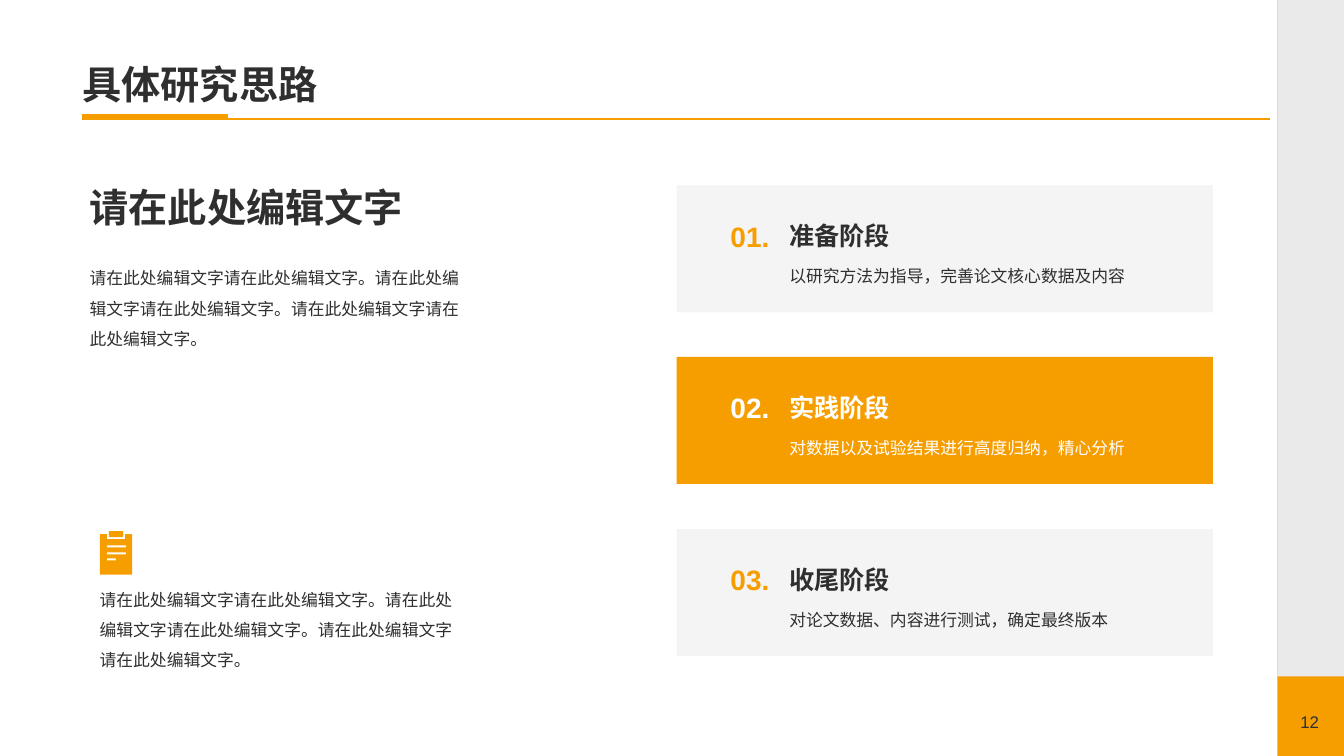
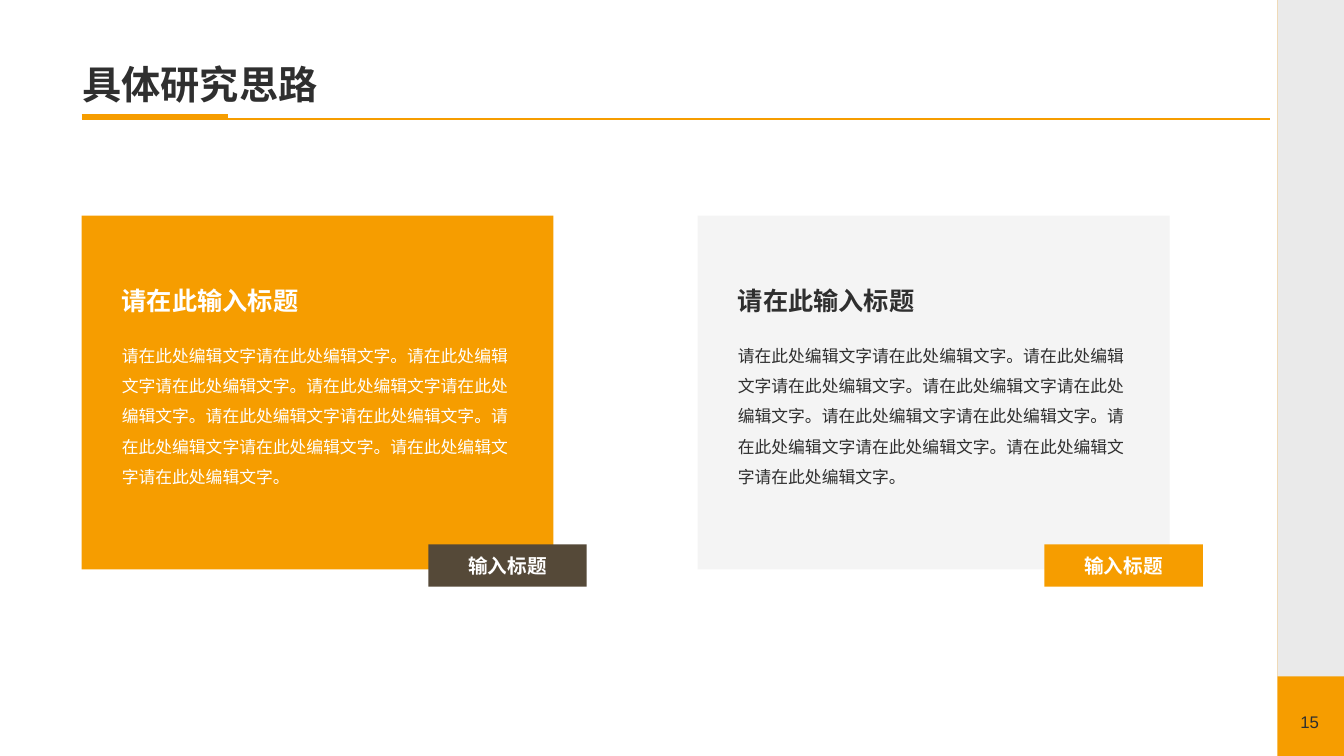
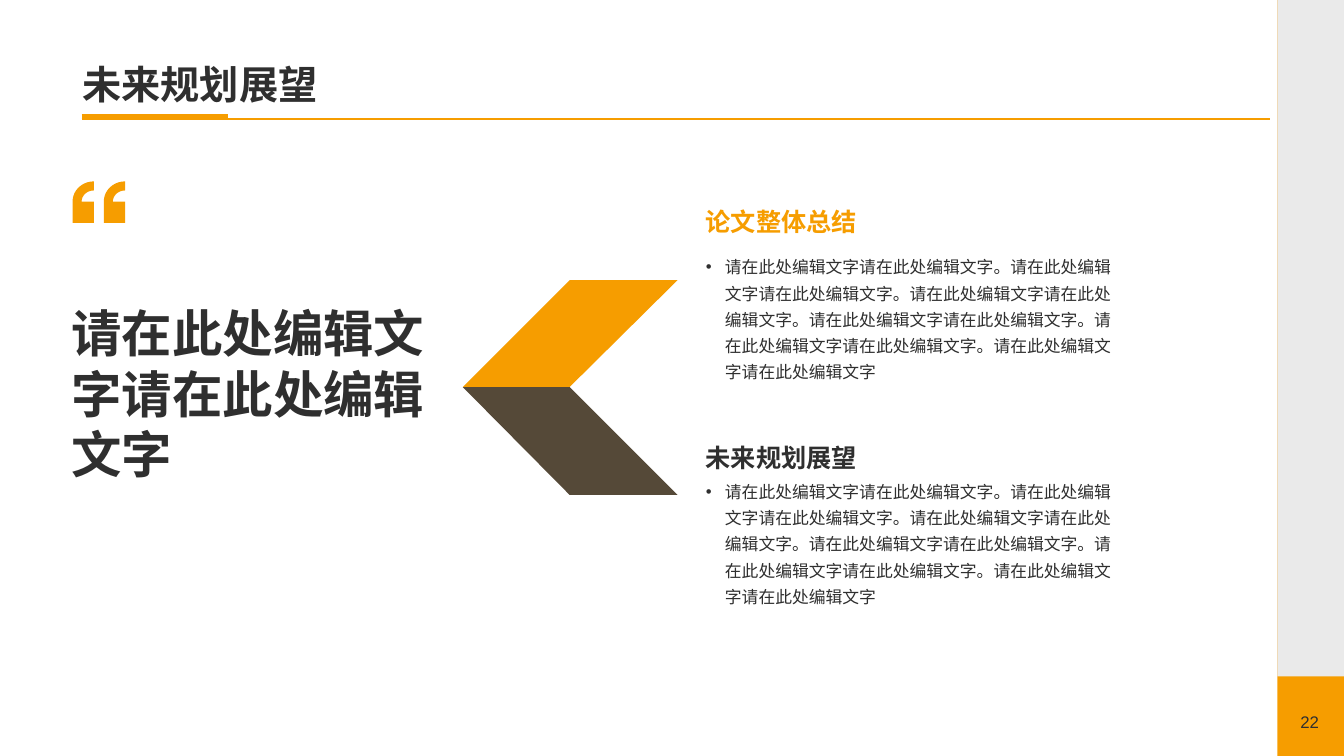
from math import cos, pi, sin

from lxml.etree import SubElement
from pptx import Presentation
from pptx.dml.color import RGBColor
from pptx.enum.lang import MSO_LANGUAGE_ID as LANG
from pptx.enum.shapes import MSO_CONNECTOR as CONNECTOR, MSO_SHAPE as SHAPE
from pptx.enum.text import MSO_ANCHOR as ANCHOR, MSO_AUTO_SIZE as FIT, PP_ALIGN as ALIGN
from pptx.oxml.ns import qn
from pptx.util import Pt

PX = 9144  # EMU per px, 100 px to the inch
FONT = "Arial"
COLORS = {
    "accent": "F69D00",
    "brown": "554938",
    "ink": "2F2F2F",
    "white": "FFFFFF",
    "band": "EAEAEA",
    "panel": "F4F4F4",
}
SENTENCE = "请在此处编辑文字请在此处编辑文字。"


def color(name):
    return RGBColor.from_string(COLORS[name])


class Deck:
    """Holds the shared style and the page being drawn."""

    def __init__(self):
        self.deck = Presentation()
        self.deck.slide_width, self.deck.slide_height = 1333 * PX, 750 * PX
        self.page = None

    def new_page(self, title, number):
        self.page = self.deck.slides.add_slide(self.deck.slide_layouts[6])
        # Side band
        self.rect(1267, 0, 66, 750, "accent")
        self.rect(1267, 0, 66, 671, "band")
        # Title with its underlines
        self.line(81, 118, 1260, 118, 1)
        self.line(81, 115, 226, 115, 3)
        self.text(72, 0, 1188, 112, title, 28, bold=True, anchor=ANCHOR.BOTTOM,
                  spacing=0.9, grow=False)
        # Page number
        self.text(1027, 704, 291, 24, str(number), 12, align=ALIGN.RIGHT,
                  anchor=ANCHOR.MIDDLE, grow=False)

    def paint(self, shape, fill):
        shape.shadow.inherit = False
        shape.fill.solid()
        shape.fill.fore_color.rgb = color(fill)
        shape.line.fill.background()
        return shape

    def rect(self, x, y, w, h, fill):
        box = self.page.shapes.add_shape(SHAPE.RECTANGLE, x * PX, y * PX, w * PX, h * PX)
        return self.paint(box, fill)

    def line(self, x1, y1, x2, y2, width):
        rule = self.page.shapes.add_connector(
            CONNECTOR.STRAIGHT, x1 * PX, y1 * PX, x2 * PX, y2 * PX)
        rule.line.color.rgb = color("accent")
        rule.line.width = Pt(width)
        SubElement(rule._element.spPr, qn("a:effectLst"))

    def outline(self, fill, *contours):
        """Closed freeform; inner contours cut holes."""
        scaled = [[(x * PX, y * PX) for x, y in points] for points in contours]
        builder = self.page.shapes.build_freeform(*scaled[0][0], scale=1.0)
        builder.add_line_segments(scaled[0][1:], close=True)
        for points in scaled[1:]:
            builder.move_to(*points[0])
            builder.add_line_segments(points[1:], close=True)
        self.paint(builder.convert_to_shape(), fill)

    def add_words(self, frame, words, size, ink, bold, align, spacing):
        para = frame.paragraphs[0]
        para.alignment = align
        para.line_spacing = spacing
        span = para.add_run()
        span.text = words
        span.font.name = FONT
        span.font.size = Pt(size)
        span.font.bold = bold
        span.font.color.rgb = color(ink)
        span.font.language_id = LANG.SIMPLIFIED_CHINESE
        return para

    def text(self, x, y, w, h, words, size, ink="ink", bold=False, align=ALIGN.LEFT,
             anchor=ANCHOR.TOP, spacing=1.0, insets=(10, 5), grow=True, bullet=False):
        box = self.page.shapes.add_textbox(x * PX, y * PX, w * PX, h * PX)
        frame = box.text_frame
        frame.word_wrap = True
        frame.auto_size = FIT.SHAPE_TO_FIT_TEXT if grow else FIT.NONE
        frame.vertical_anchor = anchor
        frame.margin_left = frame.margin_right = insets[0] * PX
        frame.margin_top = frame.margin_bottom = insets[1] * PX
        para = self.add_words(frame, words, size, ink, bold, align, spacing)
        if bullet:
            props = para._p.get_or_add_pPr()
            props.set("marL", str(19 * PX))
            props.set("indent", str(-19 * PX))
            SubElement(props, qn("a:buFont"), typeface=FONT)
            SubElement(props, qn("a:buChar"), char="•")

    def tag(self, x, y, w, h, words, fill):
        frame = self.rect(x, y, w, h, fill).text_frame
        frame.vertical_anchor = ANCHOR.MIDDLE
        self.add_words(frame, words, 14, "white", True, ALIGN.CENTER, 1.0)


def box_points(x1, y1, x2, y2):
    return [(x1, y1), (x2, y1), (x2, y2), (x1, y2)]


def quarter_arc(cx, cy, rx, ry, steps=16):
    """Points from the left end of an ellipse up to its top."""
    angles = [pi / 2 * i / steps for i in range(steps + 1)]
    return [(cx - rx * cos(a), cy - ry * sin(a)) for a in angles]


def stages_page(deck):
    deck.new_page("具体研究思路", 12)
    # Stage cards
    stages = [
        ("准备阶段", "以研究方法为指导，完善论文核心数据及内容"),
        ("实践阶段", "对数据以及试验结果进行高度归纳，精心分析"),
        ("收尾阶段", "对论文数据、内容进行测试，确定最终版本"),
    ]
    for i, (name, detail) in enumerate(stages):
        top = 184 + 341 * i // 2
        fill, ink, number_ink = (("accent", "white", "white") if i == 1
                                 else ("panel", "ink", "accent"))
        deck.rect(671, top, 532, 126, fill)
        deck.text(773, top + 30, 356, 40, name, 18, ink, True, anchor=ANCHOR.MIDDLE)
        deck.text(773, top + 65, 356, 37, detail, 12, ink, spacing=1.5)
        deck.text(711, top + 28, 62, 44, f"{i + 1:02}.", 20, number_ink, True,
                  ALIGN.RIGHT, ANCHOR.MIDDLE)
    # Introduction
    deck.text(79, 177, 401, 57, "请在此处编辑文字", 28, bold=True, anchor=ANCHOR.MIDDLE)
    deck.text(79, 251, 401, 97, SENTENCE * 3, 12, spacing=1.5)
    # Note with clipboard icon
    deck.text(89, 570, 374, 97, SENTENCE * 3, 12, spacing=1.5)
    board = [(106, 530), (106, 535), (124, 535), (124, 530),
             (131, 530), (131, 570), (99, 570), (99, 530)]
    rows = [box_points(106, y, right, y + 2)
            for y, right in ((541, 125), (548, 125), (554, 115))]
    deck.outline("accent", board, *rows, box_points(108, 527, 122, 533))


def panels_page(deck):
    deck.new_page("具体研究思路", 15)
    panels = [(81, "accent", "white", "brown"), (692, "panel", "ink", "accent")]
    for left, fill, ink, tag_fill in panels:
        deck.rect(left, 214, 468, 351, fill)
        deck.tag(left + 344, 540, 157, 42, "输入标题", tag_fill)
        deck.text(left + 30, 328, 417, 158, SENTENCE * 6, 12, ink, spacing=1.5)
        deck.text(left + 30, 278, 417, 40, "请在此输入标题", 18, ink, True)


def outlook_page(deck):
    deck.new_page("未来规划展望", 22)
    # Folded arrow
    for edge, fill in ((278, "accent"), (491, "brown")):
        deck.outline(fill, [(565, 384), (459, 384), (565, edge), (672, edge)])
    # Summary and outlook
    sections = [("论文整体总结", "accent", 205, 249), ("未来规划展望", "ink", 439, 472)]
    for heading, ink, heading_top, body_top in sections:
        deck.text(688, heading_top, 441, 30, heading, 18, ink, True,
                  anchor=ANCHOR.BOTTOM, insets=(12, 0))
        deck.text(688, body_top, 441, 129, (SENTENCE * 6).rstrip("。"), 12,
                  spacing=1.3, insets=(12, 0), bullet=True)
    # Quotation marks and statement
    for left in (103, 72):
        right = left + 21
        inner = quarter_arc(right, 200, 12, 11)
        outer = quarter_arc(right, 200, 21, 20)[::-1]
        deck.outline("accent", [(right, 221), (right, 200), *inner, *outer, (left, 221)])
    deck.text(61, 293, 387, 192, SENTENCE.rstrip("。"), 36, bold=True,
              anchor=ANCHOR.BOTTOM)


def main():
    deck = Deck()
    stages_page(deck)
    panels_page(deck)
    outlook_page(deck)
    deck.deck.save("out.pptx")


if __name__ == "__main__":
    main()
